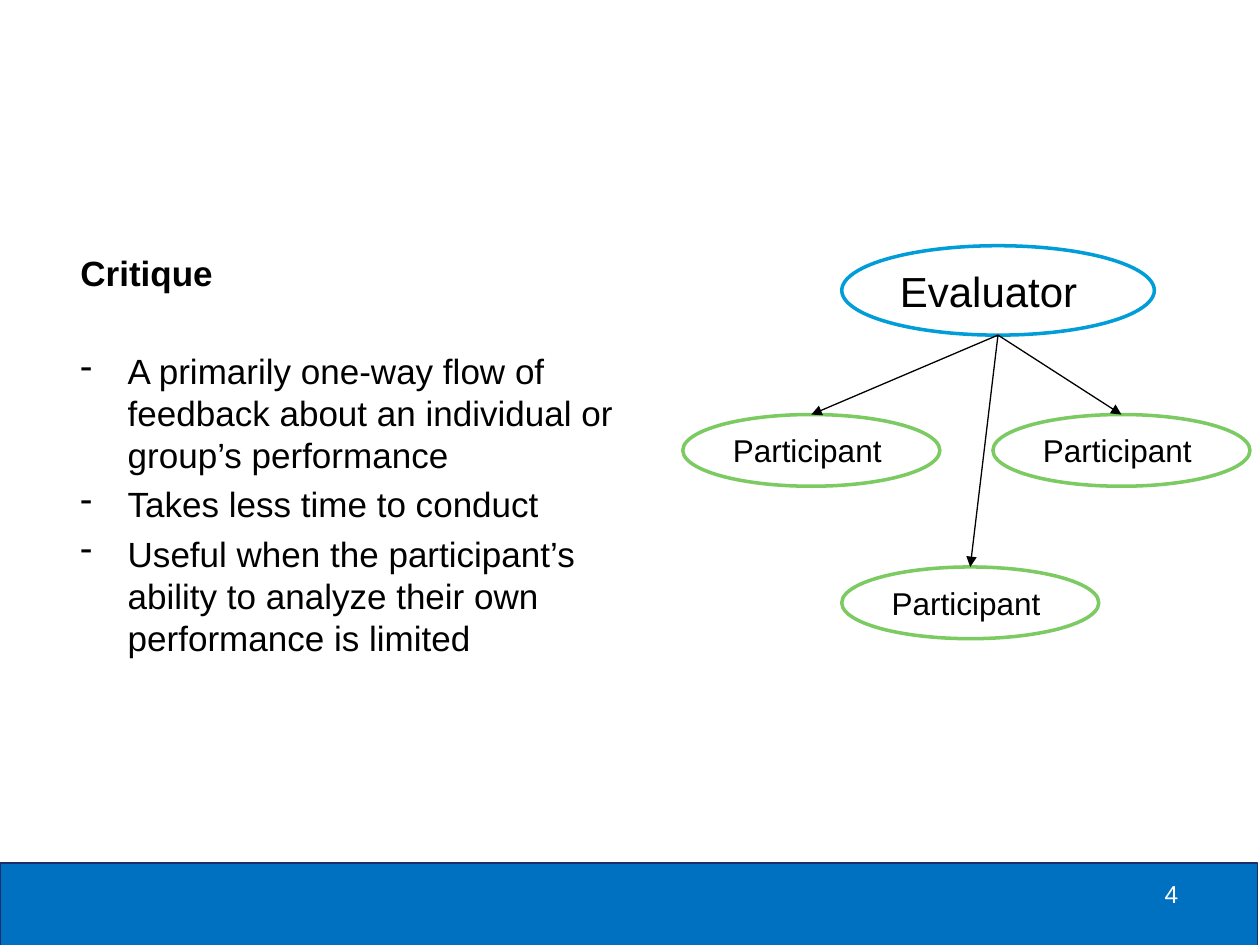
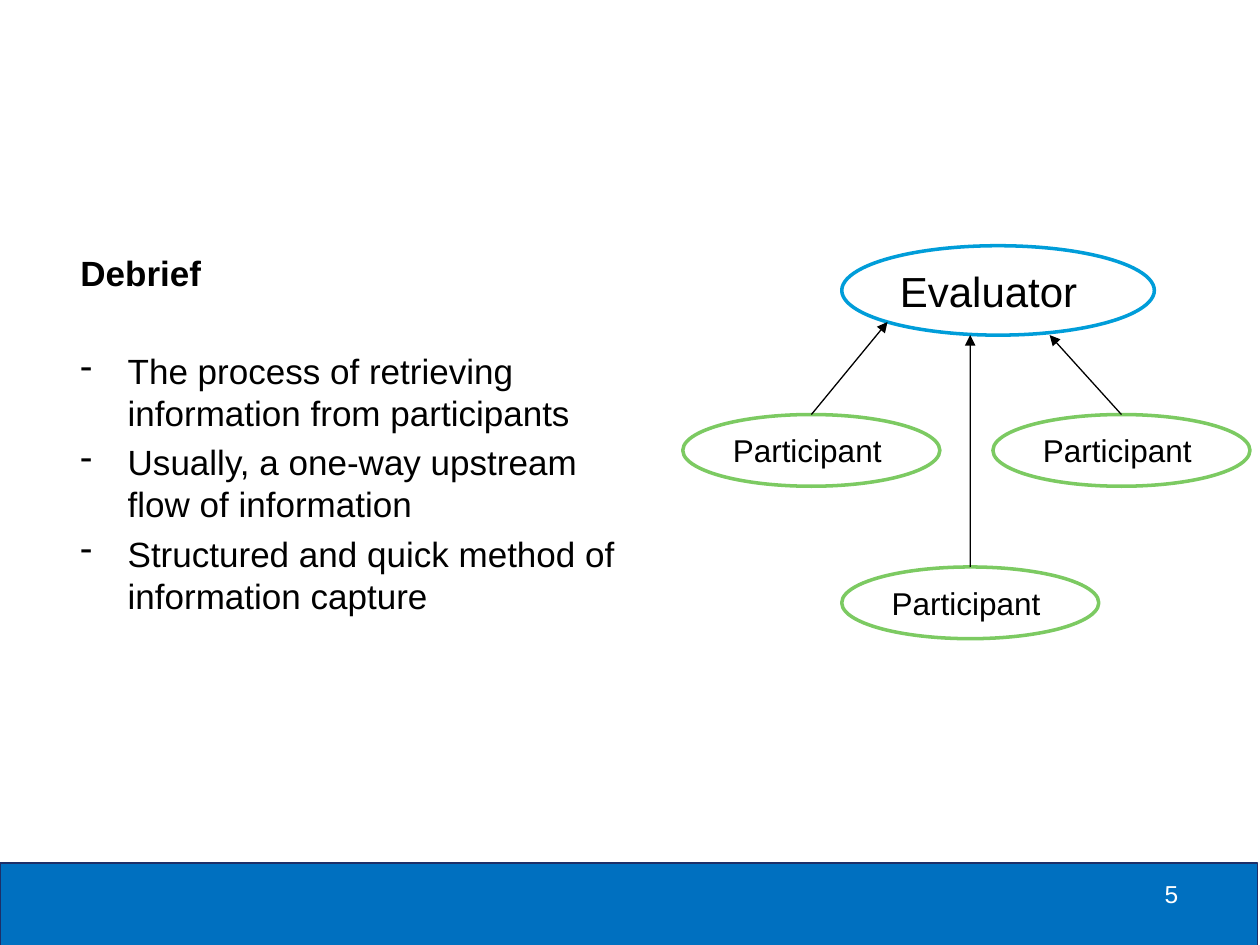
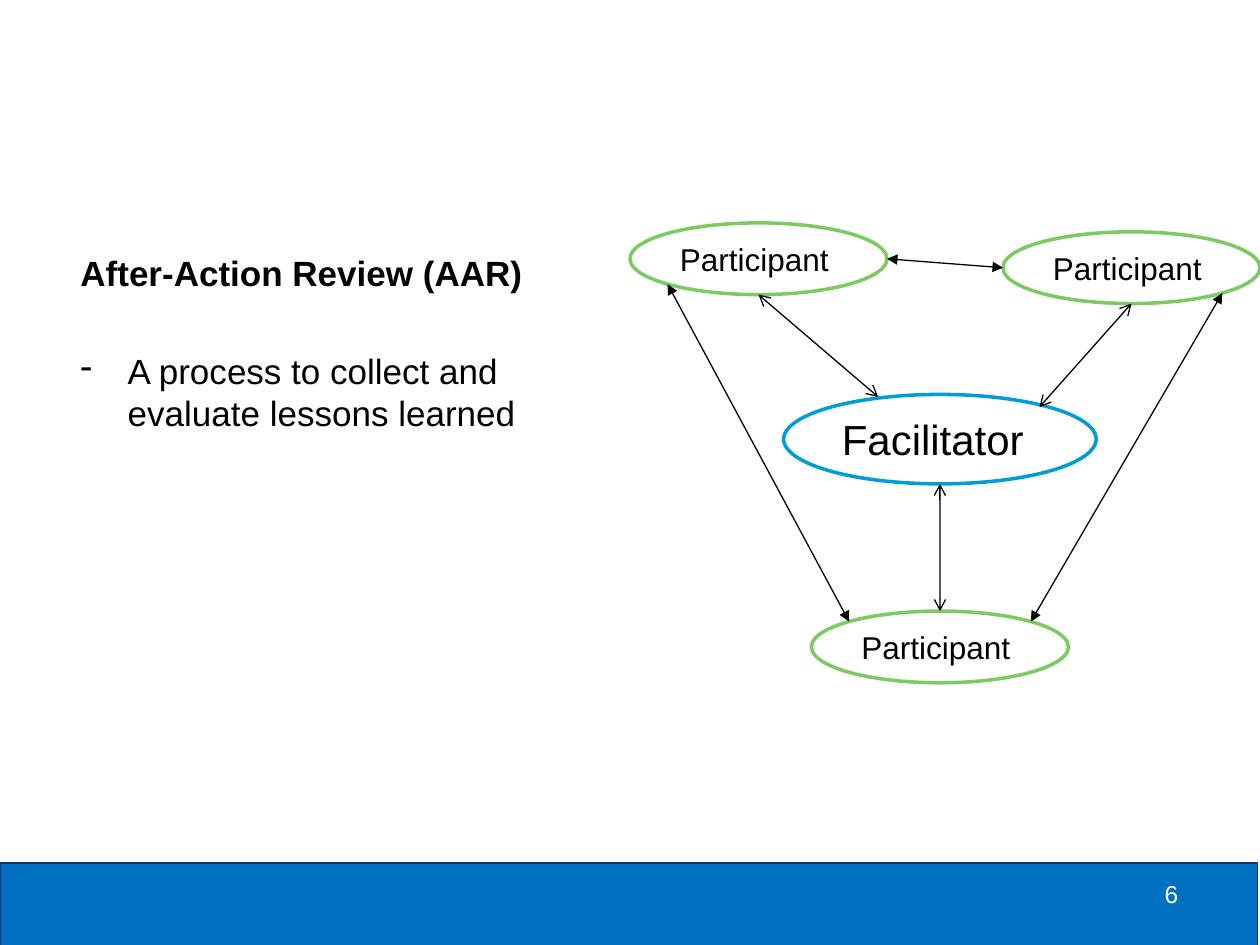
from dataclasses import dataclass
from math import sqrt

from lxml.etree import SubElement
from pptx import Presentation
from pptx.dml.color import RGBColor
from pptx.enum.shapes import MSO_CONNECTOR as Connector, MSO_SHAPE as Preset
from pptx.enum.text import MSO_ANCHOR as Anchor, PP_ALIGN as Align
from pptx.oxml.ns import qn
from pptx.util import Pt


@dataclass(frozen=True)
class Theme:
    font: str = "Arial"
    text: str = "000000"
    paper: str = "FFFFFF"
    band: str = "0070C0"
    band_edge: str = "1D2F68"
    leader: str = "009DD9"
    participant: str = "7CCA62"
    leader_size: float = 24
    body_size: float = 20
    participant_size: float = 18
    number_size: float = 14
    oval_line: float = 2
    thin_line: float = 0.75


THEME = Theme()

SLIDE_SIZE = (720, 540)
BAND_BOX = (0, 493.2, 718.6, 48.2)
NUMBER_BOX = (594, 499, 86.4, 36)
BODY_BOX = (38.9, 140.4, 321.1, 329.8)
LEADER_SIZE = (178.6, 51.1)
PARTICIPANT_SIZE = (146.9, 41)
BULLET_INDENT = 27
LINE_PITCH = 24
BULLET_GAP = 4
HEADING_GAP = 32

EVALUATOR_OVALS = {
    "leader": (481, 140.4),
    "left": (390.2, 236.9),
    "low": (481, 324),
    "right": (567.4, 236.9),
}
FACILITATOR_OVALS = {
    "leader": (447.8, 225.4),
    "left": (360, 127.4),
    "low": (463.7, 349.2),
    "right": (573.1, 132.5),
}

SLIDES = [
    {
        "number": 4,
        "heading": "Critique",
        "bullets": [
            "A primarily one-way flow of feedback about an individual or group’s performance",
            "Takes less time to conduct",
            "Useful when the participant’s ability to analyze their own performance is limited",
        ],
        "leader": "Evaluator",
        "ovals": EVALUATOR_OVALS,
        "arrows": [
            ("leader bottom", "left top", None, "triangle"),
            ("leader bottom", "low top", None, "triangle"),
            ("leader bottom", "right top", None, "triangle"),
        ],
    },
    {
        "number": 5,
        "heading": "Debrief",
        "bullets": [
            "The process of retrieving information from participants",
            "Usually, a one-way upstream flow of information",
            "Structured and quick method of information capture",
        ],
        "leader": "Evaluator",
        "ovals": EVALUATOR_OVALS,
        "arrows": [
            ("left top", "leader bottom-left", None, "triangle"),
            ("low top", (554.4, 191.5), None, "triangle"),
            ("right top", (599.8, 191.5), None, "triangle"),
        ],
    },
    {
        "number": 6,
        "heading": "After-Action Review (AAR)",
        "bullets": ["A process to collect and evaluate lessons learned"],
        "leader": "Facilitator",
        "ovals": FACILITATOR_OVALS,
        "arrows": [
            ((501.8, 226.8), "left bottom", "arrow", "arrow"),
            ("leader bottom", "low top", "arrow", "arrow"),
            ((594, 232.6), "right bottom", "arrow", "arrow"),
            ("left bottom-left", "low top-left", "triangle", "triangle"),
            ("left right", "right left", "triangle", "triangle"),
            ("right bottom-right", "low top-right", "triangle", "triangle"),
        ],
    },
]

DIAGONAL = sqrt(0.5)
SITES = {
    "top": (0, -1),
    "bottom": (0, 1),
    "left": (-1, 0),
    "right": (1, 0),
    "top-left": (-DIAGONAL, -DIAGONAL),
    "top-right": (DIAGONAL, -DIAGONAL),
    "bottom-left": (-DIAGONAL, DIAGONAL),
    "bottom-right": (DIAGONAL, DIAGONAL),
}


def points(values):
    return [Pt(value) for value in values]


def color(value):
    return RGBColor.from_string(value)


def write(frame, text, *, size, fill=THEME.text, bold=False, align=Align.LEFT,
          before=0, pitch=None, bullet=None, more=False):
    paragraph = frame.add_paragraph() if more else frame.paragraphs[0]
    paragraph.alignment = align
    paragraph.space_before = Pt(before)
    if pitch:
        paragraph.line_spacing = Pt(pitch)
    if bullet:
        properties = paragraph._p.get_or_add_pPr()
        properties.set("marL", str(Pt(BULLET_INDENT)))
        properties.set("indent", str(-Pt(BULLET_INDENT)))
        SubElement(properties, qn("a:buChar")).set("char", bullet)
    run = paragraph.add_run()
    run.text = text
    run.font.name = THEME.font
    run.font.size = Pt(size)
    run.font.bold = bold
    run.font.color.rgb = color(fill)


def add_filled(slide, preset, box, fill, edge, width):
    shape = slide.shapes.add_shape(preset, *points(box))
    shape.shadow.inherit = False
    shape.fill.solid()
    shape.fill.fore_color.rgb = color(fill)
    shape.line.color.rgb = color(edge)
    shape.line.width = Pt(width)
    return shape


def add_text_frame(slide, box):
    frame = slide.shapes.add_textbox(*points(box)).text_frame
    frame.word_wrap = True
    return frame


def add_footer(slide, number):
    add_filled(slide, Preset.RECTANGLE, BAND_BOX, THEME.band, THEME.band_edge, THEME.thin_line)
    write(add_text_frame(slide, NUMBER_BOX), str(number), size=THEME.number_size,
          fill=THEME.paper, align=Align.RIGHT)


def add_body(slide, heading, bullets):
    frame = add_text_frame(slide, BODY_BOX)
    write(frame, heading, size=THEME.body_size, bold=True, pitch=LINE_PITCH)
    for index, text in enumerate(bullets):
        write(frame, text, size=THEME.body_size, pitch=LINE_PITCH, bullet="-", more=True,
              before=BULLET_GAP if index else HEADING_GAP)


def add_oval(slide, text, box, edge, size):
    oval = add_filled(slide, Preset.OVAL, box, THEME.paper, edge, THEME.oval_line)
    oval.text_frame.word_wrap = True
    oval.text_frame.vertical_anchor = Anchor.MIDDLE
    write(oval.text_frame, text, size=size)


def locate(end, boxes):
    if isinstance(end, tuple):
        return end
    name, site = end.split()
    left, top, width, height = boxes[name]
    across, down = SITES[site]
    return left + width * (1 + across) / 2, top + height * (1 + down) / 2


def add_arrow(slide, start, finish, head, tail):
    connector = slide.shapes.add_connector(Connector.STRAIGHT, *points(start + finish))
    connector.line.color.rgb = color(THEME.text)
    connector.line.width = Pt(THEME.thin_line)
    properties = connector._element.spPr
    line = properties.find(qn("a:ln"))
    for tag, kind in (("a:headEnd", head), ("a:tailEnd", tail)):
        if kind:
            SubElement(line, qn(tag)).set("type", kind)
    SubElement(properties, qn("a:effectLst"))


def add_diagram(slide, leader, ovals, arrows):
    boxes = {}
    for name, corner in ovals.items():
        if name == "leader":
            boxes[name] = corner + LEADER_SIZE
            add_oval(slide, leader, boxes[name], THEME.leader, THEME.leader_size)
        else:
            boxes[name] = corner + PARTICIPANT_SIZE
            add_oval(slide, "Participant", boxes[name], THEME.participant, THEME.participant_size)
    for start, finish, head, tail in arrows:
        add_arrow(slide, locate(start, boxes), locate(finish, boxes), head, tail)


def main():
    presentation = Presentation()
    presentation.slide_width, presentation.slide_height = points(SLIDE_SIZE)
    blank = presentation.slide_layouts[6]
    for content in SLIDES:
        slide = presentation.slides.add_slide(blank)
        add_footer(slide, content["number"])
        add_body(slide, content["heading"], content["bullets"])
        add_diagram(slide, content["leader"], content["ovals"], content["arrows"])
    presentation.save("out.pptx")


if __name__ == "__main__":
    main()
